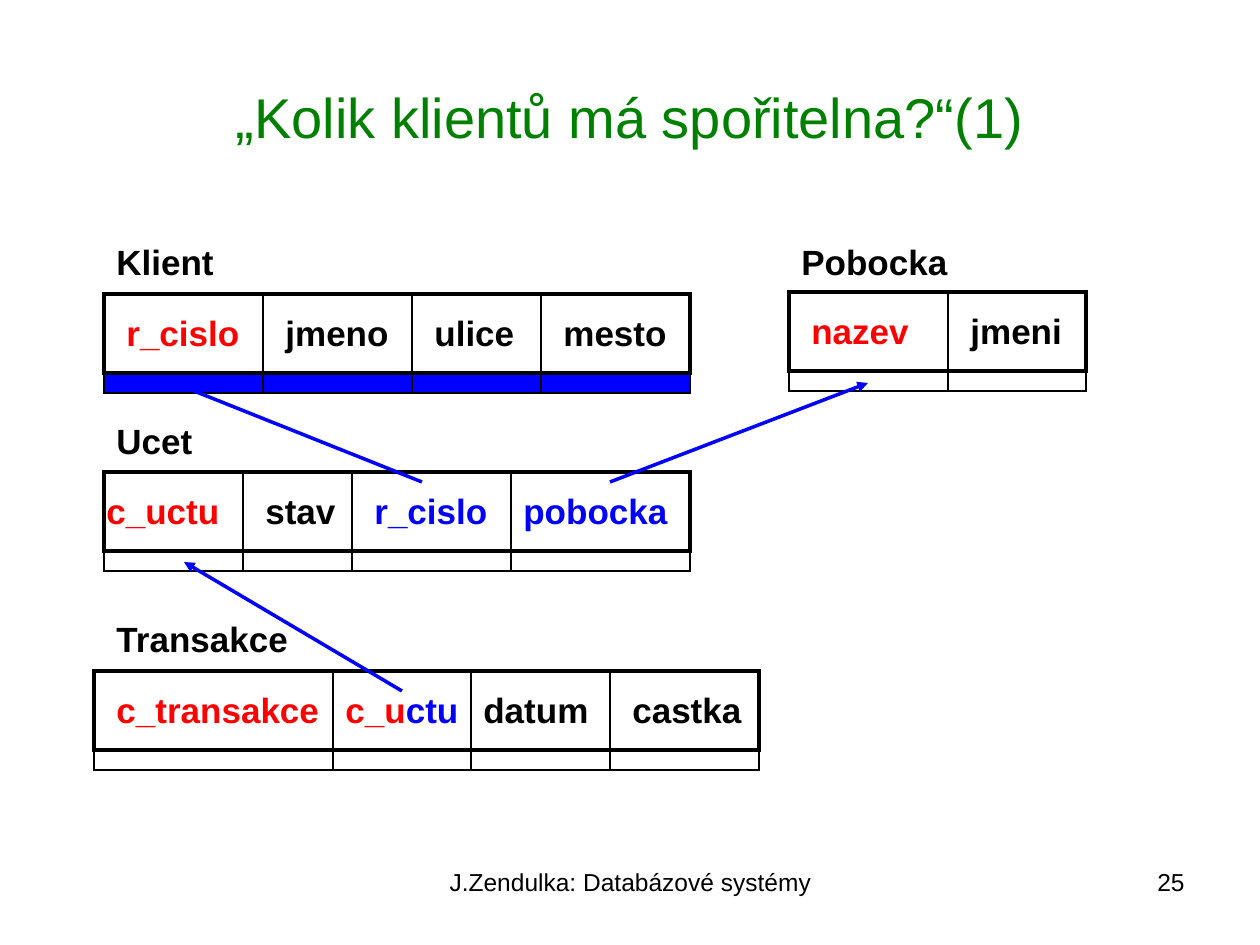
import pptx
import pptx.util
import pptx.dml.color
import pptx.enum.shapes
import pptx.enum.text
import pptx.oxml.ns
import lxml.etree

Align = pptx.enum.text.PP_ALIGN
Anchor = pptx.enum.text.MSO_ANCHOR
qn = pptx.oxml.ns.qn

INK = {
    "text": "000000",
    "key": "FF0000",
    "link": "0000FF",
    "title": "008000",
}


def px(n):
    return pptx.util.Emu(round(n * 914400 / 126))


def rgb(ink):
    return pptx.dml.color.RGBColor.from_string(INK[ink])


class Deck:
    """Style and current slide, with one method for each kind of element."""

    font = "Arial"
    head = 79       # height of a table's name row
    strip = 20      # height of the row under it
    line = 55       # height of one line of text

    def __init__(self):
        self.prs = pptx.Presentation()
        self.prs.slide_width = px(1260)
        self.prs.slide_height = px(945)
        self.slide = self.prs.slides.add_slide(self.prs.slide_layouts[5])

    def style(self, run, size, ink, bold):
        run.font.name = self.font
        run.font.size = pptx.util.Pt(size)
        run.font.bold = bold
        run.font.color.rgb = rgb(ink)

    def title(self, words, x, y, w, h):
        box = self.slide.shapes.title
        box.left, box.top, box.width, box.height = map(px, (x, y, w, h))
        frame = box.text_frame
        frame.text = words
        frame.vertical_anchor = Anchor.MIDDLE
        para = frame.paragraphs[0]
        para.alignment = Align.CENTER
        self.style(para.runs[0], 32, "title", False)

    def text(self, parts, x, y, w, h=line, size=20, bold=True,
             align=Align.LEFT):
        box = self.slide.shapes.add_textbox(*map(px, (x, y, w, h)))
        frame = box.text_frame
        frame.word_wrap = True
        para = frame.paragraphs[0]
        para.alignment = align
        for words, ink in parts:
            run = para.add_run()
            run.text = words
            self.style(run, size, ink, bold)

    def rect(self, x, y, w, h, width, fill=None):
        kind = pptx.enum.shapes.MSO_SHAPE.RECTANGLE
        box = self.slide.shapes.add_shape(kind, *map(px, (x, y, w, h)))
        box.shadow.inherit = False
        if fill:
            box.fill.solid()
            box.fill.fore_color.rgb = rgb(fill)
        else:
            box.fill.background()
        box.line.color.rgb = rgb("text")
        box.line.width = pptx.util.Pt(width)
        line = box.line._get_or_add_ln()
        lxml.etree.SubElement(line, qn("a:miter"), lim="800000")

    def rule(self, x1, y1, x2, y2, ink="text", width=0.75, arrow=False):
        kind = pptx.enum.shapes.MSO_CONNECTOR.STRAIGHT
        link = self.slide.shapes.add_connector(
            kind, *map(px, (x1, y1, x2, y2)))
        link.line.color.rgb = rgb(ink)
        link.line.width = pptx.util.Pt(width)
        if arrow:
            line = link.line._get_or_add_ln()
            lxml.etree.SubElement(line, qn("a:tailEnd"), type="triangle")
        lxml.etree.SubElement(link._element.spPr, qn("a:effectLst"))

    def table(self, name, label, x, y, w, cells, fill=None):
        """Each cell is its left edge, text inset, text width and parts."""
        self.rect(x, y + self.head, w, self.strip, 0.75, fill)
        self.rect(x, y, w, self.head, 2)
        for left, inset, wide, parts in cells:
            if left > x:
                self.rule(left, y, left, y + self.head + self.strip)
            self.text(parts, left + inset, y + 11, wide)
        self.text([(name, "text")], *label)


def main():
    deck = Deck()
    deck.title("„Kolik klientů má spořitelna?“(1)", 63, 37, 1134, 158)

    # Tables of the schema
    deck.table("Klient", (104, 234, 129), 104, 294, 586, [
        (104, 10, 144, [("r_cislo", "key")]),
        (263, 10, 134, [("jmeno", "text")]),
        (412, 10, 110, [("ulice", "text")]),
        (541, 10, 134, [("mesto", "text")]),
    ], fill="link")
    deck.table("Pobocka", (789, 234, 179), 789, 292, 297, [
        (789, 10, 128, [("nazev", "key")]),
        (948, 10, 122, [("jmeni", "text")]),
    ])
    deck.table("Ucet", (104, 413, 110), 104, 472, 586, [
        (104, -10, 144, [("c_uctu", "key")]),
        (243, 10, 100, [("stav", "text")]),
        (352, 10, 144, [("r_cislo", "link")]),
        (511, 0, 174, [("pobocka", "link")]),
    ])
    deck.table("Transakce", (104, 611, 208), 94, 671, 665, [
        (94, 10, 234, [("c_transakce", "key")]),
        (333, 0, 144, [("c_u", "key"), ("ctu", "link")]),
        (471, 0, 136, [("datum", "text")]),
        (610, 10, 140, [("castka", "text")]),
    ])

    # Arrows from foreign keys to the tables they point at
    for ends in ((402, 691, 184, 562),
                 (422, 482, 174, 383),
                 (610, 482, 868, 383)):
        deck.rule(*ends, ink="link", width=2, arrow=True)

    # Footer and slide number
    deck.text([("J.Zendulka: Databázové systémy", "text")],
              431, 861, 399, 66, 14, False, Align.CENTER)
    deck.text([("25", "text")], 903, 861, 294, 66, 14, False, Align.RIGHT)

    deck.prs.save("out.pptx")


if __name__ == "__main__":
    main()
